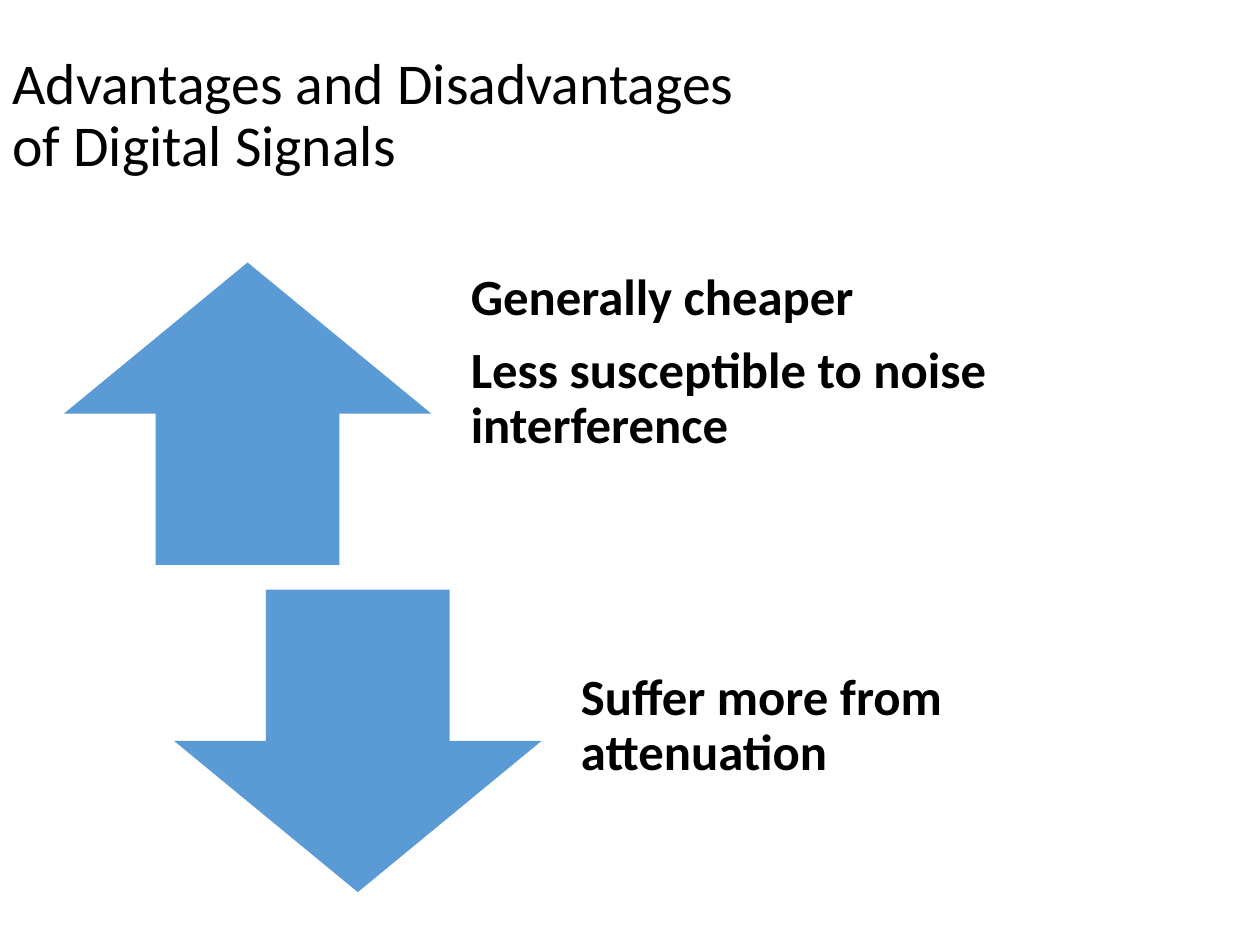
from dataclasses import dataclass

from pptx import Presentation
from pptx import util as u
from pptx.dml import color
from pptx.enum import shapes, text


@dataclass(frozen=True)
class Theme:
    font: str = "Calibri"
    ink: str = "000000"
    accent: str = "5B9BD5"
    background: str = "FFFFFF"
    title_size: float = 33
    body_size: float = 29
    line_spacing: float = 0.9
    body_gap: float = 10.15


def apply(target, values):
    for name, value in values.items():
        setattr(target, name, value)


class SlideBuilder:
    def __init__(self, presentation, theme):
        self.theme = theme
        self.slide = presentation.slides.add_slide(presentation.slide_layouts[6])
        fill = self.slide.background.fill
        fill.solid()
        fill.fore_color.rgb = color.RGBColor.from_string(theme.background)

    def add_text(self, box, paragraphs, size, insets, bold=False, gap=0):
        shape = self.slide.shapes.add_textbox(*map(u.Pt, box))
        frame = shape.text_frame
        left, top, right, bottom = map(u.Pt, insets)
        apply(frame, {
            "word_wrap": True,
            "vertical_anchor": text.MSO_ANCHOR.MIDDLE,
            "margin_left": left,
            "margin_top": top,
            "margin_right": right,
            "margin_bottom": bottom,
        })
        frame.text = "\n".join(paragraphs)
        for paragraph in frame.paragraphs:
            apply(paragraph, {
                "line_spacing": self.theme.line_spacing,
                "space_after": u.Pt(gap),
                "alignment": text.PP_ALIGN.LEFT,
            })
            for run in paragraph.runs:
                apply(run.font, {
                    "name": self.theme.font, "size": u.Pt(size), "bold": bold,
                })
                run.font.color.rgb = color.RGBColor.from_string(self.theme.ink)

    def add_title(self, box, title):
        self.add_text(box, [title], self.theme.title_size, (7.2, 3.6, 7.2, 3.6))

    def add_body(self, box, paragraphs, bottom_inset):
        self.add_text(box, paragraphs, self.theme.body_size,
                      (16.5, 0, 16.5, bottom_inset), True, self.theme.body_gap)

    def add_arrow(self, kind, box):
        shape = self.slide.shapes.add_shape(kind, *map(u.Pt, box))
        shape.shadow.inherit = False
        shape.fill.solid()
        shape.fill.fore_color.rgb = color.RGBColor.from_string(self.theme.accent)
        shape.line.fill.background()


def main():
    presentation = Presentation()
    apply(presentation, {"slide_width": u.Pt(720), "slide_height": u.Pt(540)})
    builder = SlideBuilder(presentation, Theme())
    builder.add_title((0, 21.6, 720, 90),
                      "Advantages and Disadvantages \vof Digital Signals")

    left, top, height = 36.5, 150, 172.8
    step_x, step_y = 63, 187
    arrow_width, text_offset, text_width = 210, 216, 356.4
    rows = [
        (shapes.MSO_SHAPE.UP_ARROW,
         ["Generally cheaper", "Less susceptible to noise interference"], 58),
        (shapes.MSO_SHAPE.DOWN_ARROW, ["Suffer more from attenuation"], 16.5),
    ]
    for index, (kind, paragraphs, bottom_inset) in enumerate(rows):
        x, y = left + index * step_x, top + index * step_y
        builder.add_arrow(kind, (x, y, arrow_width, height))
        builder.add_body((x + text_offset, y, text_width, height),
                         paragraphs, bottom_inset)

    presentation.save("out.pptx")


if __name__ == "__main__":
    main()
